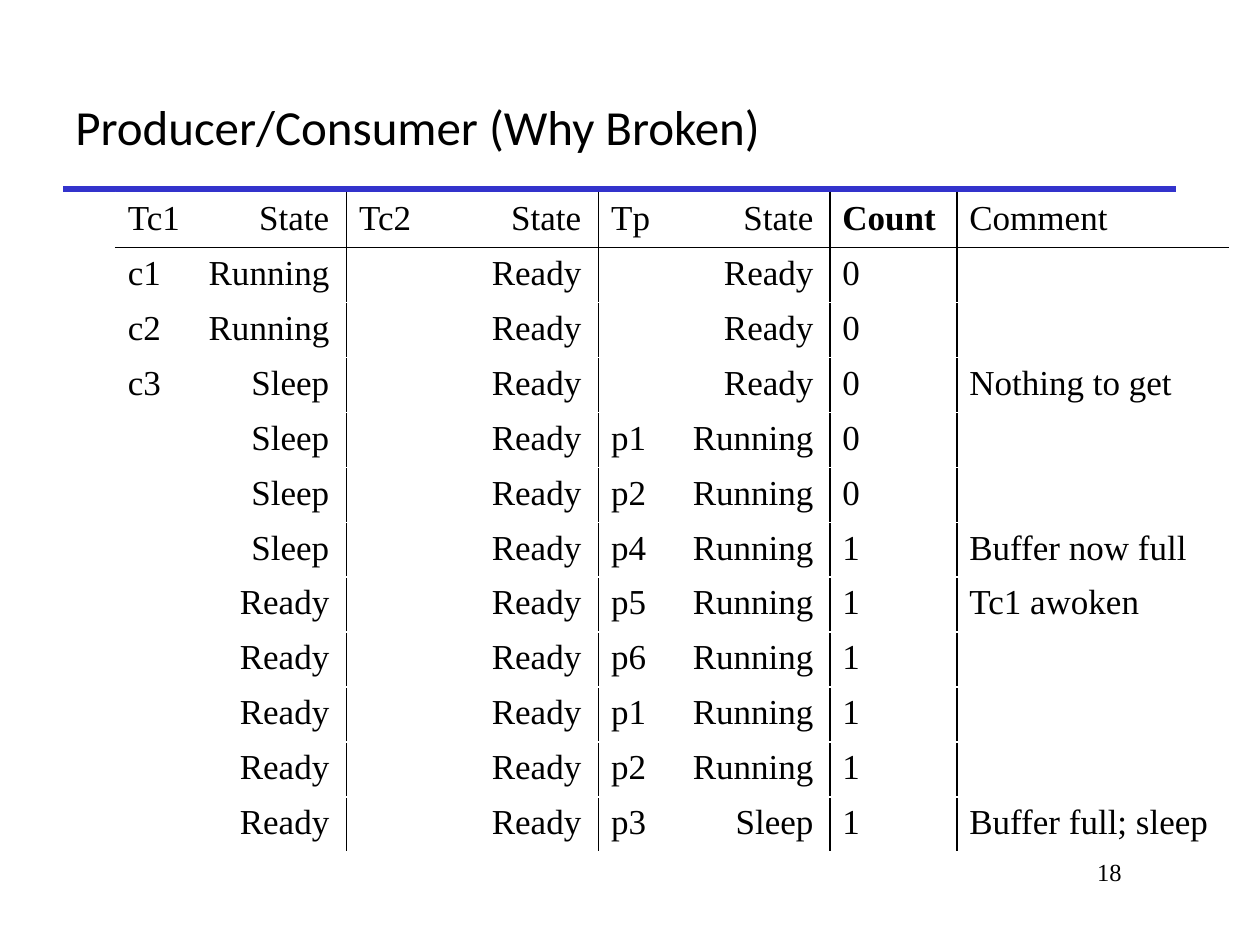
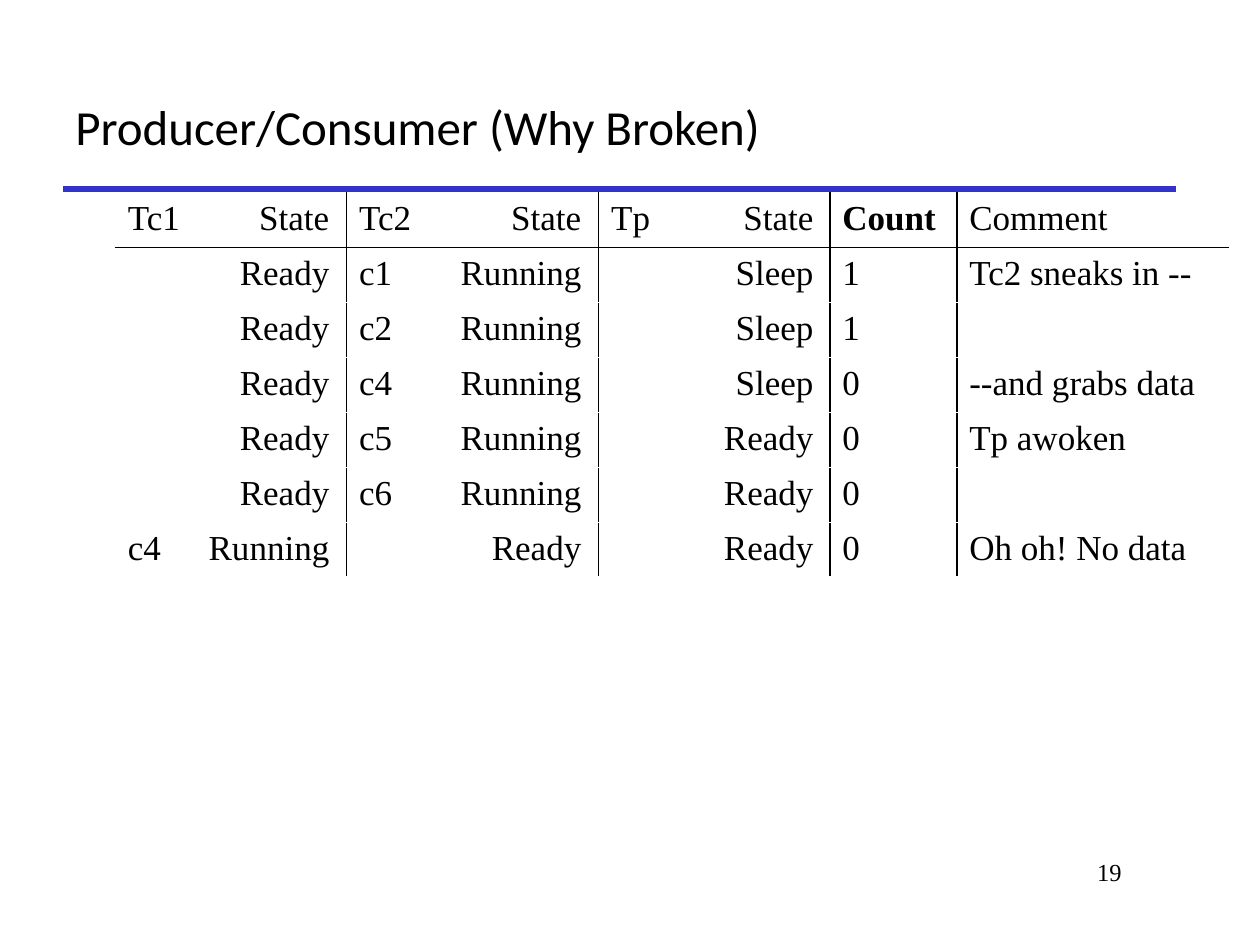
import typing

import lxml.etree
import pptx
import pptx.dml.color
import pptx.enum.shapes
import pptx.enum.text
import pptx.oxml.ns
import pptx.util

Cm = pptx.util.Cm
Pt = pptx.util.Pt
qn = pptx.oxml.ns.qn
ALIGN = pptx.enum.text.PP_ALIGN
ANCHOR = pptx.enum.text.MSO_ANCHOR

COLORS = {"ink": "000000", "paper": "FFFFFF", "rule": "3333CC"}
TITLE = {"size": Pt(28), "name": "Calibri", "bold": False}
PAGE = {"size": Pt(14), "name": "Times New Roman", "bold": False}
BODY = {"size": Pt(20), "name": "Times New Roman", "bold": False}
STRONG = BODY | {"bold": True}
INSETS = {
    "margin_left": Cm(0.25), "margin_right": Cm(0.25),
    "margin_top": Cm(0.13), "margin_bottom": Cm(0.13),
}


class Box(typing.NamedTuple):
    left: float
    top: float
    width: float
    height: float


class Col(typing.NamedTuple):
    width: float
    tab: float = 0  # right tab for the thread state, 0 for none


class Step(typing.NamedTuple):
    """One row; a thread cell is a state, with its code line in front if it runs."""
    first: str
    second: str
    maker: str
    count: str
    note: str = ""


class Trace(typing.NamedTuple):
    page: int
    steps: list[Step]


HEAD_BOX = Box(1.27, 1.27, 22.43, 2.54)
PAGE_BOX = Box(19.25, 17.15, 3.61, 1.27)
GRID_LEFT, GRID_TOP, ROW = 2.33, 3.88, 1.1
COLS = [Col(4.66, 4.06), Col(5.08, 4.48), Col(4.66, 4.08), Col(2.56), Col(5.48)]
HEADER = Step("Tc1 State", "Tc2 State", "Tp State", "Count", "Comment")

TRACES = [
    Trace(18, [
        Step("c1 Running", "Ready", "Ready", "0"),
        Step("c2 Running", "Ready", "Ready", "0"),
        Step("c3 Sleep", "Ready", "Ready", "0", "Nothing to get"),
        Step("Sleep", "Ready", "p1 Running", "0"),
        Step("Sleep", "Ready", "p2 Running", "0"),
        Step("Sleep", "Ready", "p4 Running", "1", "Buffer now full"),
        Step("Ready", "Ready", "p5 Running", "1", "Tc1 awoken"),
        Step("Ready", "Ready", "p6 Running", "1"),
        Step("Ready", "Ready", "p1 Running", "1"),
        Step("Ready", "Ready", "p2 Running", "1"),
        Step("Ready", "Ready", "p3 Sleep", "1", "Buffer full; sleep"),
    ]),
    Trace(19, [
        Step("Ready", "c1 Running", "Sleep", "1", "Tc2 sneaks in --"),
        Step("Ready", "c2 Running", "Sleep", "1"),
        Step("Ready", "c4 Running", "Sleep", "0", "--and grabs data"),
        Step("Ready", "c5 Running", "Ready", "0", "Tp awoken"),
        Step("Ready", "c6 Running", "Ready", "0"),
        Step("c4 Running", "Ready", "Ready", "0", "Oh oh! No data"),
    ]),
]


def tint(name: str) -> pptx.dml.color.RGBColor:
    return pptx.dml.color.RGBColor.from_string(COLORS[name])


def apply(target: typing.Any, values: dict[str, typing.Any]) -> None:
    for key, value in values.items():
        setattr(target, key, value)


def write(para: typing.Any, text: str, style: dict[str, typing.Any]) -> None:
    run = para.add_run()
    run.text = text
    apply(run.font, style)
    run.font.color.rgb = tint("ink")


def label(slide: typing.Any, box: Box, text: str, style: dict[str, typing.Any],
          align: typing.Any, anchor: typing.Any) -> None:
    frame = slide.shapes.add_textbox(*map(Cm, box)).text_frame
    apply(frame, INSETS | {"word_wrap": True, "vertical_anchor": anchor})
    frame.paragraphs[0].alignment = align
    write(frame.paragraphs[0], text, style)


def rule(slide: typing.Any) -> None:
    """Draw the line under the title."""
    y = HEAD_BOX.top + HEAD_BOX.height
    line = slide.shapes.add_connector(
        pptx.enum.shapes.MSO_CONNECTOR.STRAIGHT,
        Cm(HEAD_BOX.left), Cm(y), Cm(HEAD_BOX.left + HEAD_BOX.width), Cm(y))
    line.line.color.rgb = tint("rule")
    line.line.width = Pt(3)
    lxml.etree.SubElement(line._element.spPr, qn("a:effectLst"))


def edge(cell: typing.Any, inks: dict[str, bool]) -> None:
    """Border a cell: ink where the side is true, paper elsewhere."""
    props = cell._tc.get_or_add_tcPr()
    for side, dark in inks.items():
        line = lxml.etree.SubElement(props, qn(f"a:ln{side}"), w=str(Pt(1)))
        fill = lxml.etree.SubElement(line, qn("a:solidFill"))
        lxml.etree.SubElement(fill, qn("a:srgbClr"),
                              val=COLORS["ink" if dark else "paper"])


def add_tab(para: typing.Any, at: float) -> None:
    stops = lxml.etree.SubElement(para._p.get_or_add_pPr(), qn("a:tabLst"))
    lxml.etree.SubElement(stops, qn("a:tab"), pos=str(Cm(at)), algn="r")


def fill_cell(cell: typing.Any, text: str, row: int, col: int) -> None:
    edge(cell, {"L": col > 0, "R": col < len(COLS) - 1, "T": row == 1, "B": row == 0})
    cell.fill.background()
    apply(cell, INSETS)
    para = cell.text_frame.paragraphs[0]
    if COLS[col].tab:
        add_tab(para, COLS[col].tab)
        code, _, state = text.rpartition(" ")
        text = f"{code}\t{state}"
    if text:
        write(para, text, STRONG if text == HEADER.count else BODY)


def grid(slide: typing.Any, steps: list[Step]) -> None:
    rows = [HEADER, *steps]
    width = sum(col.width for col in COLS)
    table = slide.shapes.add_table(
        len(rows), len(COLS), Cm(GRID_LEFT), Cm(GRID_TOP),
        Cm(width), Cm(ROW * len(rows))).table
    apply(table, {"first_row": False, "horz_banding": False})
    for part, col in zip(table.columns, COLS):
        part.width = Cm(col.width)
    for r, step in enumerate(rows):
        table.rows[r].height = Cm(ROW)
        for c, text in enumerate(step):
            fill_cell(table.cell(r, c), text, r, c)


def main() -> None:
    deck = pptx.Presentation()
    apply(deck, {"slide_width": Cm(25.4), "slide_height": Cm(19.05)})
    for trace in TRACES:
        slide = deck.slides.add_slide(deck.slide_layouts[6])
        rule(slide)
        label(slide, PAGE_BOX, str(trace.page), PAGE, ALIGN.RIGHT, ANCHOR.TOP)
        label(slide, HEAD_BOX, "Producer/Consumer (Why Broken)", TITLE,
              ALIGN.LEFT, ANCHOR.MIDDLE)
        grid(slide, trace.steps)
    deck.save("out.pptx")


if __name__ == "__main__":
    main()
